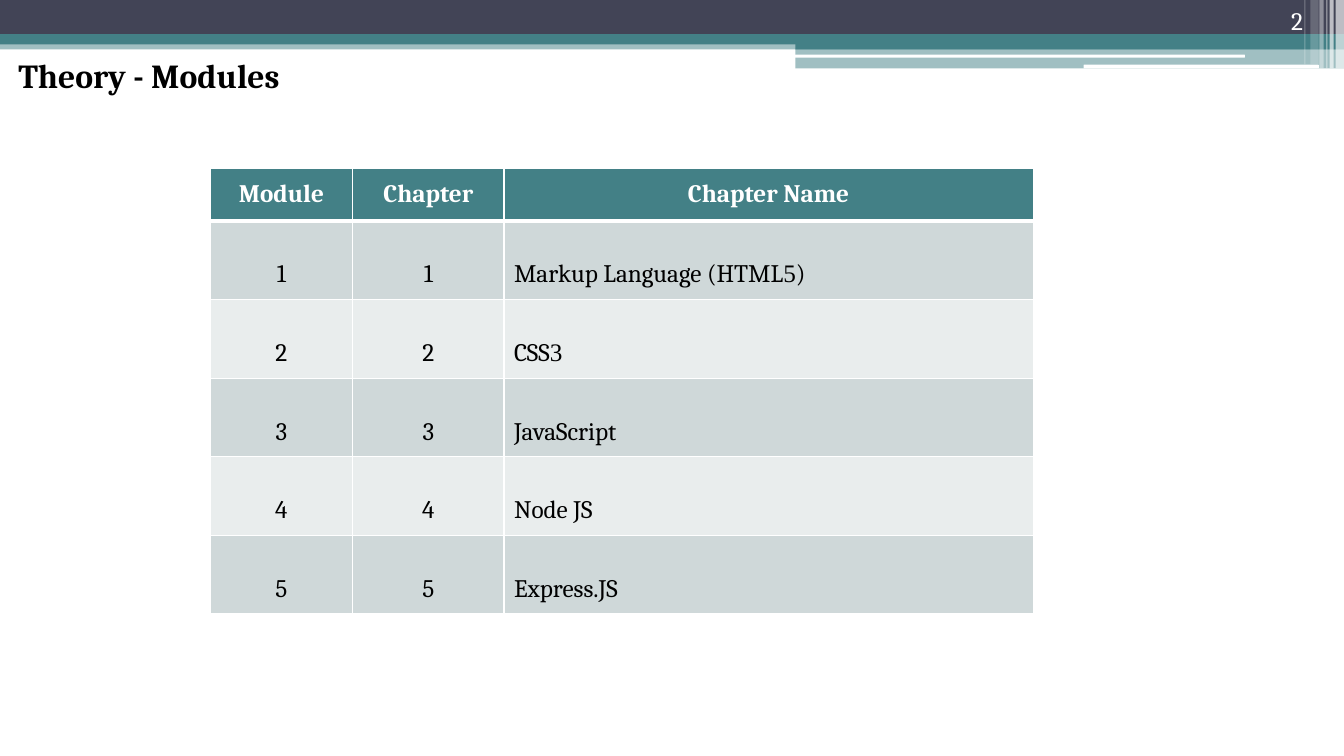
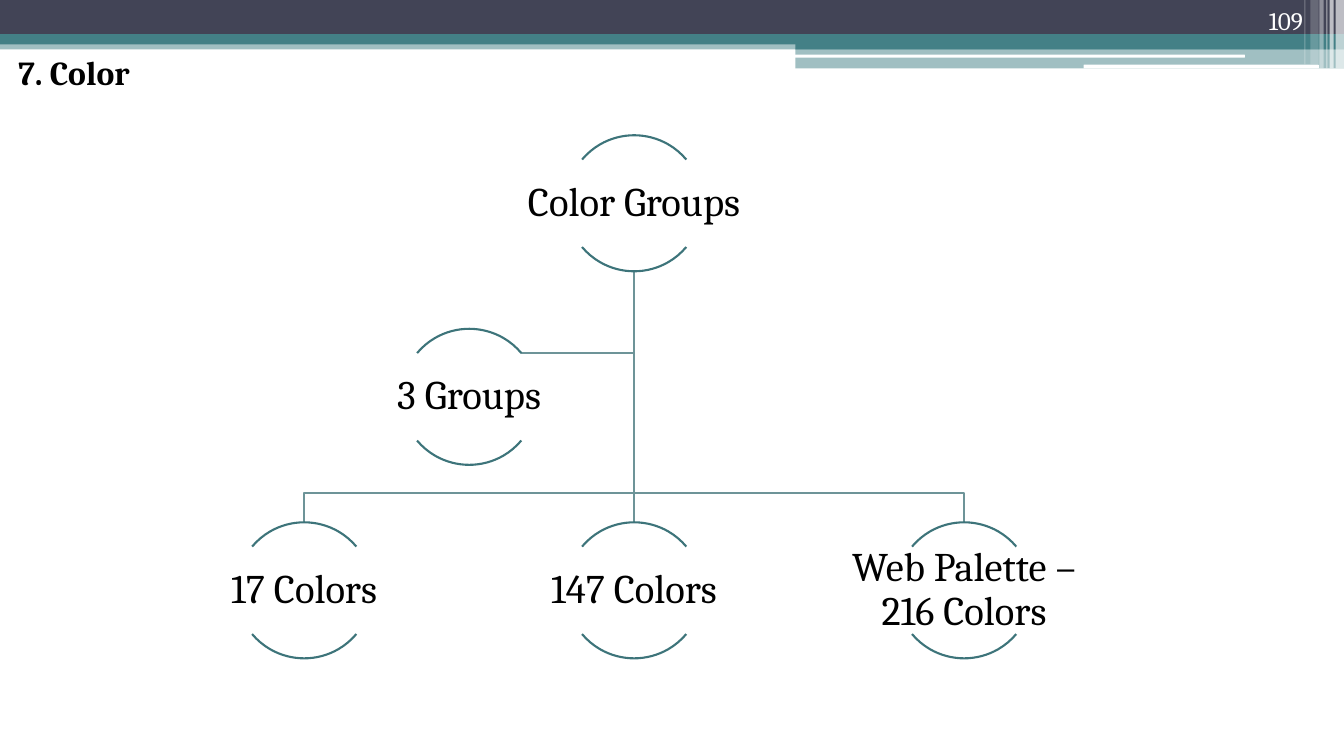
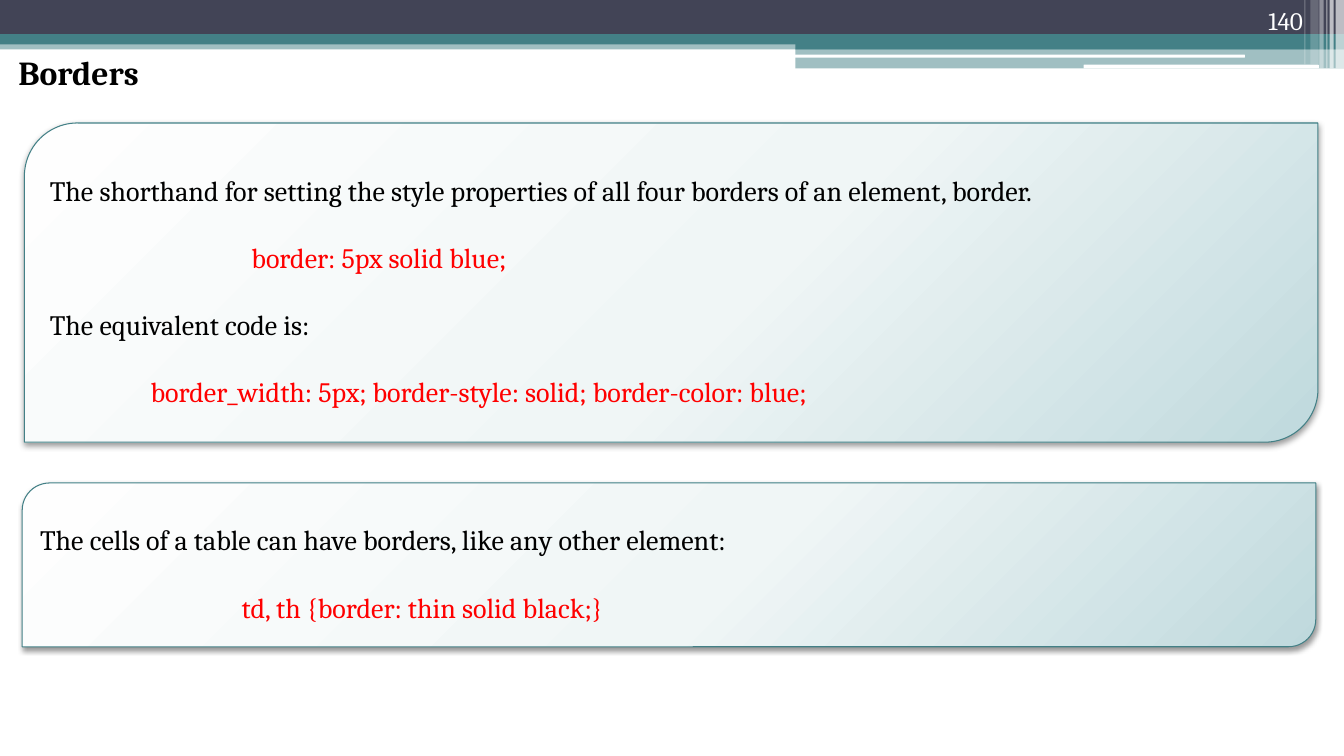
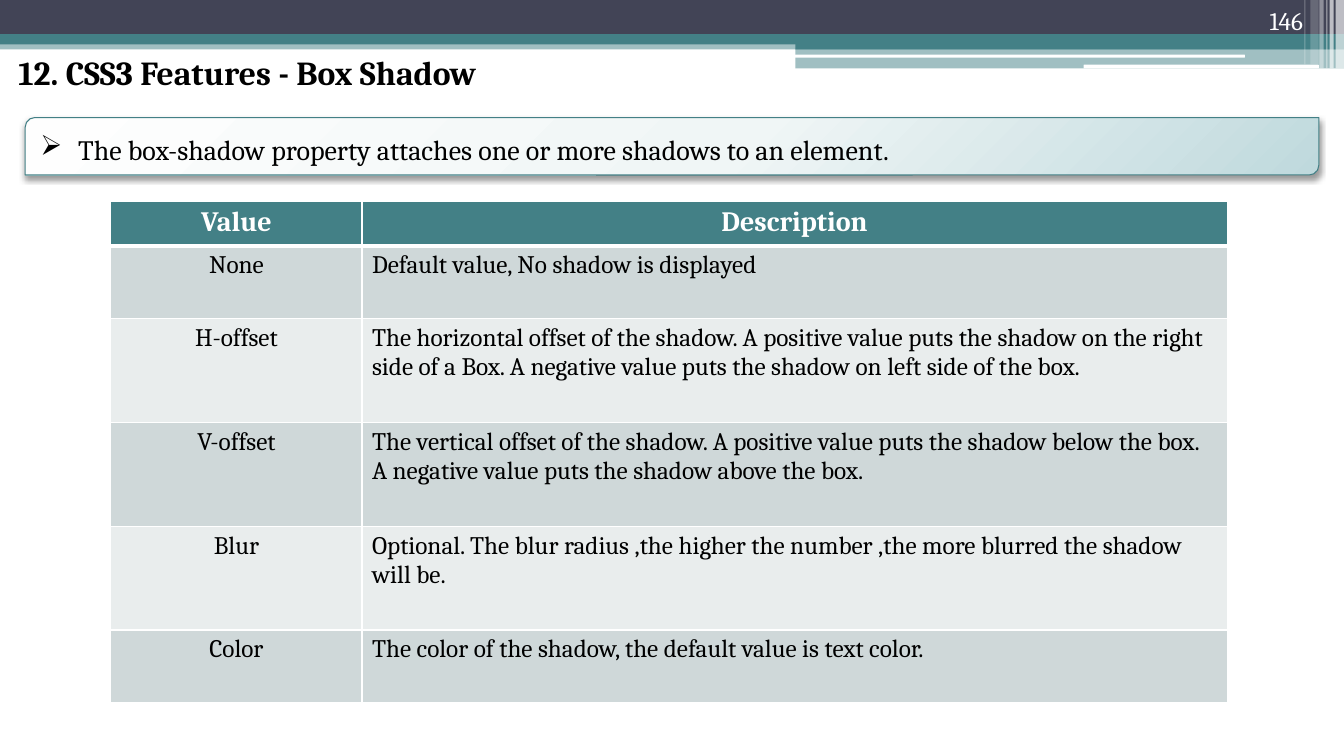
import lxml.etree
import pptx
import pptx.dml.color
import pptx.enum.shapes
import pptx.enum.text
import pptx.oxml
import pptx.oxml.ns
import pptx.util

COLORS = {
    "navy": "424456", "teal": "438086", "white": "FFFFFF", "black": "000000",
    "red": "FF0000", "odd": "CFD8D9", "even": "E9EDED", "link": "6D9498",
    "arc": "3D747A", "pale": "FEFEFE", "mist": "F0F6F6", "aqua": "BFD9DD",
}
SHAPES = pptx.enum.shapes.MSO_SHAPE
ALIGN = pptx.enum.text.PP_ALIGN
ANCHOR = pptx.enum.text.MSO_ANCHOR
BANDS = [
    (SHAPES.RECTANGLE, (0, 4.8, 160, 1.08), "teal", 50),
    (SHAPES.RECTANGLE, (0, 0, 160, 4.08), "navy", 100),
    (SHAPES.RECTANGLE, (0, 4.08, 160, 1.2), "teal", 100),
    (SHAPES.RECTANGLE, (94.68, 4.68, 65.32, 1.2), "teal", 100),
    (SHAPES.RECTANGLE, (94.68, 5.8, 65.32, 2.36), "teal", 50),
    (SHAPES.ROUNDED_RECTANGLE, (94.6, 6.5, 53.6, 0.36), "white", 100),
    (SHAPES.ROUNDED_RECTANGLE, (129, 7.7, 28, 0.45), "white", 100),
]
STRIPES = [
    (159, 1, 8.16, 65), (158.28, 0.5, 8.16, 65), (157.92, 0.12, 8.16, 60),
    (157.08, 0.5, 8.16, 40), (156, 1, 7.68, 20), (155.28, 0.12, 7.68, 30),
]


def grid(cells):
    """Turn cells of the 160 by 90 slide grid into a length."""
    return pptx.util.Pt(6 * cells)


def color(name):
    """Look up a named colour."""
    return pptx.dml.color.RGBColor.from_string(COLORS[name])


def child(parent, tag, **attributes):
    """Append a drawing element to its parent."""
    return lxml.etree.SubElement(parent, pptx.oxml.ns.qn(f"a:{tag}"), **attributes)


class Deck:
    """Hold the style and the current slide."""

    font = "Cambria"

    def __init__(self):
        """Start an empty widescreen presentation."""
        self.presentation = pptx.Presentation()
        self.presentation.slide_width = grid(160)
        self.presentation.slide_height = grid(90)
        self.slide = None

    def add_slide(self, title, number, title_top=5.64):
        """Add a slide with its bands, title and number."""
        self.slide = self.presentation.slides.add_slide(self.presentation.slide_layouts[6])
        for kind, box, fill, opacity in BANDS:
            self.shape(kind, box, fill, opacity)
        for left, width, height, opacity in STRIPES:
            self.shape(SHAPES.RECTANGLE, (left, 0, width, height), "white", opacity)
        self.text((1, title_top, 91, 6), title, size=24, bold=True)
        self.text((143, 0, 13.3, 4.8), number, ANCHOR.BOTTOM, ink="white", align=ALIGN.RIGHT)

    def shape(self, kind, box, fill=None, opacity=100, line=None, width=0.75):
        """Add a preset shape without shadow."""
        shape = self.slide.shapes.add_shape(kind, *map(grid, box))
        self.paint(shape, fill, line, width)
        if opacity < 100:
            for tint in shape.element.spPr.xpath("./a:solidFill/a:srgbClr"):
                child(tint, "alpha", val=str(opacity * 1000))
        return shape

    def paint(self, shape, fill, line, width):
        """Set the fill, line and lack of shadow of a shape."""
        shape.shadow.inherit = False
        if fill:
            shape.fill.solid()
            shape.fill.fore_color.rgb = color(fill)
        else:
            shape.fill.background()
        if line:
            shape.line.color.rgb = color(line)
            shape.line.width = pptx.util.Pt(width)
        else:
            shape.line.fill.background()

    def text(self, box, content, anchor=ANCHOR.TOP, inset=None, **style):
        """Add a text box with one paragraph."""
        frame = self.slide.shapes.add_textbox(*map(grid, box)).text_frame
        frame.word_wrap = True
        frame.vertical_anchor = anchor
        if inset is not None:
            frame.margin_left = frame.margin_right = grid(inset)
            frame.margin_top = frame.margin_bottom = grid(inset)
        self.fill_paragraph(frame.paragraphs[0], content, **style)

    def fill_paragraph(self, paragraph, content, size=18, ink="black", bold=False,
                       align=ALIGN.LEFT, spacing=None, before=None, indent=0, hanging=0,
                       bullet=None):
        """Fill a paragraph, taking a string or a list of (text, font) runs."""
        paragraph.alignment = align
        if spacing:
            paragraph.line_spacing = spacing
        if before:
            paragraph.space_before = pptx.util.Pt(before)
        properties = paragraph._p.get_or_add_pPr()
        if indent:
            properties.set("marL", str(grid(indent)))
            properties.set("indent", str(-grid(hanging)))
        if bullet:
            child(child(properties, "buClr"), "srgbClr", val=COLORS[ink])
            child(properties, "buChar", char=bullet)
        runs = [(content, self.font)] if isinstance(content, str) else content
        for words, font in runs:
            run = paragraph.add_run()
            run.text = words
            run.font.name = font
            run.font.size = pptx.util.Pt(size)
            run.font.bold = bold
            run.font.color.rgb = color(ink)

    def panel(self, box, paragraphs, before=12, **style):
        """Add a shaded panel of (text, style) paragraphs."""
        shape = self.shape(SHAPES.ROUND_2_DIAG_RECTANGLE, box, line="teal")
        properties = shape.element.spPr
        gradient = pptx.oxml.parse_xml(
            f'<a:gradFill {pptx.oxml.ns.nsdecls("a")} rotWithShape="1"/>')
        stops = child(gradient, "gsLst")
        for position, name in ((0, "pale"), (55, "mist"), (100, "aqua")):
            child(child(stops, "gs", pos=str(position * 1000)), "srgbClr", val=COLORS[name])
        child(child(gradient, "path", path="circle"), "fillToRect",
              l="-40000", t="-90000", r="140000", b="190000")
        properties.replace(properties.xpath("./a:noFill")[0], gradient)
        shadow = child(properties.xpath("./a:effectLst")[0], "outerShdw",
                       blurRad="52000", dist="25400", dir="5400000", rotWithShape="0")
        child(child(shadow, "srgbClr", val=COLORS["black"]), "alpha", val="40000")
        frame = shape.text_frame
        frame.word_wrap = True
        frame.vertical_anchor = ANCHOR.MIDDLE
        for index, (content, extra) in enumerate(paragraphs):
            paragraph = frame.add_paragraph() if index else frame.paragraphs[0]
            self.fill_paragraph(paragraph, content, size=20, before=before if index else None,
                                **style, **extra)

    def table(self, corner, columns, heights, rows, anchor, header_size=18, spacing=None):
        """Add a banded table whose last column is left aligned."""
        box = (*corner, sum(columns), sum(heights))
        table = self.slide.shapes.add_table(len(rows), len(columns), *map(grid, box)).table
        for column, width in zip(table.columns, columns):
            column.width = grid(width)
        for index, (row, height, values) in enumerate(zip(table.rows, heights, rows)):
            row.height = grid(height)
            header = index == 0
            for position, (cell, value) in enumerate(zip(row.cells, values)):
                self.borders(cell, top=3 if index == 1 else 1, bottom=3 if header else 1)
                cell.fill.solid()
                cell.fill.fore_color.rgb = color(
                    "teal" if header else "odd" if index % 2 else "even")
                cell.vertical_anchor = anchor
                last = position == len(columns) - 1
                self.fill_paragraph(cell.text_frame.paragraphs[0], value,
                                    size=header_size if header else 18,
                                    ink="white" if header else "black", bold=header,
                                    align=ALIGN.LEFT if last and not header else ALIGN.CENTER,
                                    spacing=None if header else spacing)

    def borders(self, cell, top, bottom):
        """Give a cell white borders."""
        properties = cell._tc.get_or_add_tcPr()
        for tag, width in (("lnL", 1), ("lnR", 1), ("lnT", top), ("lnB", bottom)):
            line = child(properties, tag, w=str(pptx.util.Pt(width)))
            child(child(line, "solidFill"), "srgbClr", val=COLORS["white"])

    def node(self, center, top, label, diameter=16.2):
        """Add a label between an upper and a lower arc."""
        for angles in ((132, 192), (24, 84)):
            arc = self.shape(SHAPES.ARC, (center - diameter / 2, top, diameter, diameter),
                             line="arc", width=1.5)
            arc.adjustments[0], arc.adjustments[1] = angles
        self.text((center - diameter, top + 2.9, 2 * diameter, 10.4), label, ANCHOR.MIDDLE,
                  inset=0.24, size=29, align=ALIGN.CENTER, spacing=0.9)

    def elbow(self, *points):
        """Add an open bent line through the points."""
        start, *others = [tuple(map(grid, point)) for point in points]
        builder = self.slide.shapes.build_freeform(*start)
        builder.add_line_segments(others, close=False)
        self.paint(builder.convert_to_shape(), None, "link", 1.5)

    def line(self, start, end):
        """Add a straight line."""
        connector = self.slide.shapes.add_connector(
            pptx.enum.shapes.MSO_CONNECTOR.STRAIGHT, *map(grid, (*start, *end)))
        connector.line.color.rgb = color("link")
        connector.line.width = pptx.util.Pt(1.5)
        child(connector.element.spPr, "effectLst")


def modules_slide(deck):
    """Build the list of modules."""
    deck.add_slide("Theory - Modules", "2", title_top=6)
    digits = "Times New Roman"
    chapters = [
        [("Markup Language (HTML", deck.font), ("5", digits), (")", deck.font)],
        [("CSS", deck.font), ("3", digits)],
        "JavaScript", "Node JS", "Express.JS",
    ]
    rows = [("Module", "Chapter", "Chapter Name")]
    rows += [(str(n), str(n), name) for n, name in enumerate(chapters, 1)]
    deck.table((25, 20), (17, 18, 63), [6.3] + [9.36] * 5, rows, ANCHOR.MIDDLE, spacing=2)


def color_groups_slide(deck):
    """Build the tree of color groups."""
    deck.add_slide("7. Color", "109")
    middle, step = 75.5, 39.28
    root_top, group_top, leaf_top = (16.1 + 23.04 * level for level in range(3))
    root_bottom, bus = root_top + 16.2, leaf_top - 3.46
    root, assistant = (middle, root_bottom), middle - step / 2
    leaves = (middle - step, middle, middle + step)
    deck.elbow(root, (middle, group_top + 2.9), (assistant + 6.2, group_top + 2.9))
    for leaf in (leaves[0], leaves[2]):
        deck.elbow(root, (middle, bus), (leaf, bus), (leaf, leaf_top))
    deck.line(root, (middle, leaf_top))
    deck.node(middle, root_top, "Color Groups")
    deck.node(assistant, group_top, "3 Groups")
    for leaf, label in zip(leaves, ("17 Colors", "147 Colors", "Web Palette – 216 Colors")):
        deck.node(leaf, leaf_top, label)


def borders_slide(deck):
    """Build the notes on borders."""
    deck.add_slide("Borders", "140")
    near, far = ({"ink": "red", "indent": 12 * tabs} for tabs in (1, 2))
    deck.panel((2.9, 14.64, 154, 38), [
        ("The shorthand for setting the style properties of all four borders of an element,"
         " border.", {}),
        ("border: 5px solid blue;", far),
        ("The equivalent code is:", {}),
        ("border_width: 5px; border-style: solid; border-color: blue;", near),
    ], spacing=1.5)
    deck.panel((2.64, 57.5, 154, 19.5), [
        ("The cells of a table can have borders, like any other element:", {}),
        ("td, th {border: thin solid black;}", far),
    ], spacing=1.5)


def box_shadow_slide(deck):
    """Build the table of box shadow values."""
    deck.add_slide("12. CSS3 Features - Box Shadow", "146")
    deck.panel((3, 14, 154, 6.84), [
        ("The box-shadow property attaches one or more shadows to an element.", {}),
    ], spacing=1.15, align=ALIGN.JUSTIFY, indent=4.8, hanging=4.5, bullet="➢")
    deck.table((13.2, 24), (29.9, 103), (5.3, 8.64, 12.36, 12.36, 12.36, 8.64), [
        ("Value", "Description"),
        ("None", "Default value, No shadow is displayed"),
        ("H-offset", "The horizontal offset of the shadow. A positive value puts the shadow on "
                     "the right side of a Box. A negative value puts the shadow on left side of "
                     "the box."),
        ("V-offset", "The vertical offset of the shadow. A positive value puts the shadow below "
                     "the box. A negative value puts the shadow above the box."),
        ("Blur", "Optional. The blur radius ,the higher the number ,the more blurred the shadow "
                 "will be."),
        ("Color", "The color of the shadow, the default value is text color."),
    ], ANCHOR.TOP, header_size=20)


def main():
    """Build and save the slides."""
    deck = Deck()
    for build in (modules_slide, color_groups_slide, borders_slide, box_shadow_slide):
        build(deck)
    deck.presentation.save("out.pptx")


if __name__ == "__main__":
    main()
